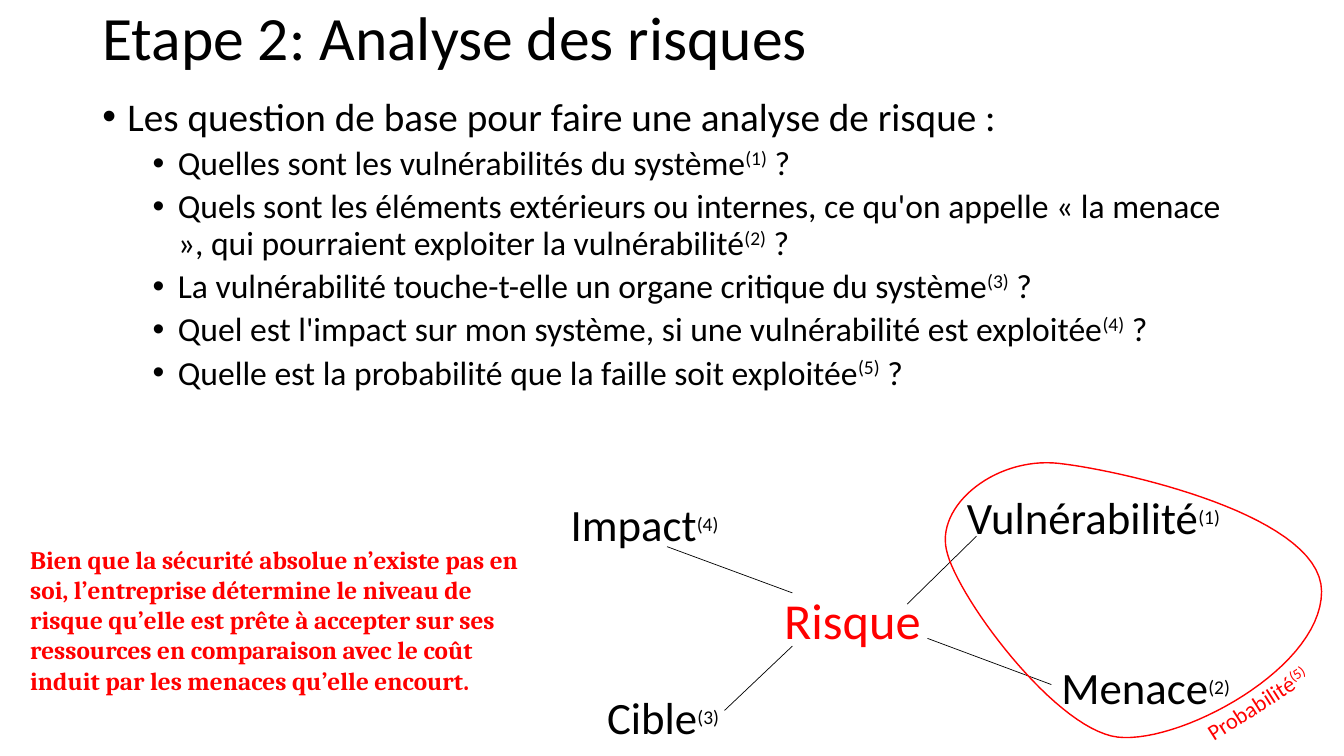
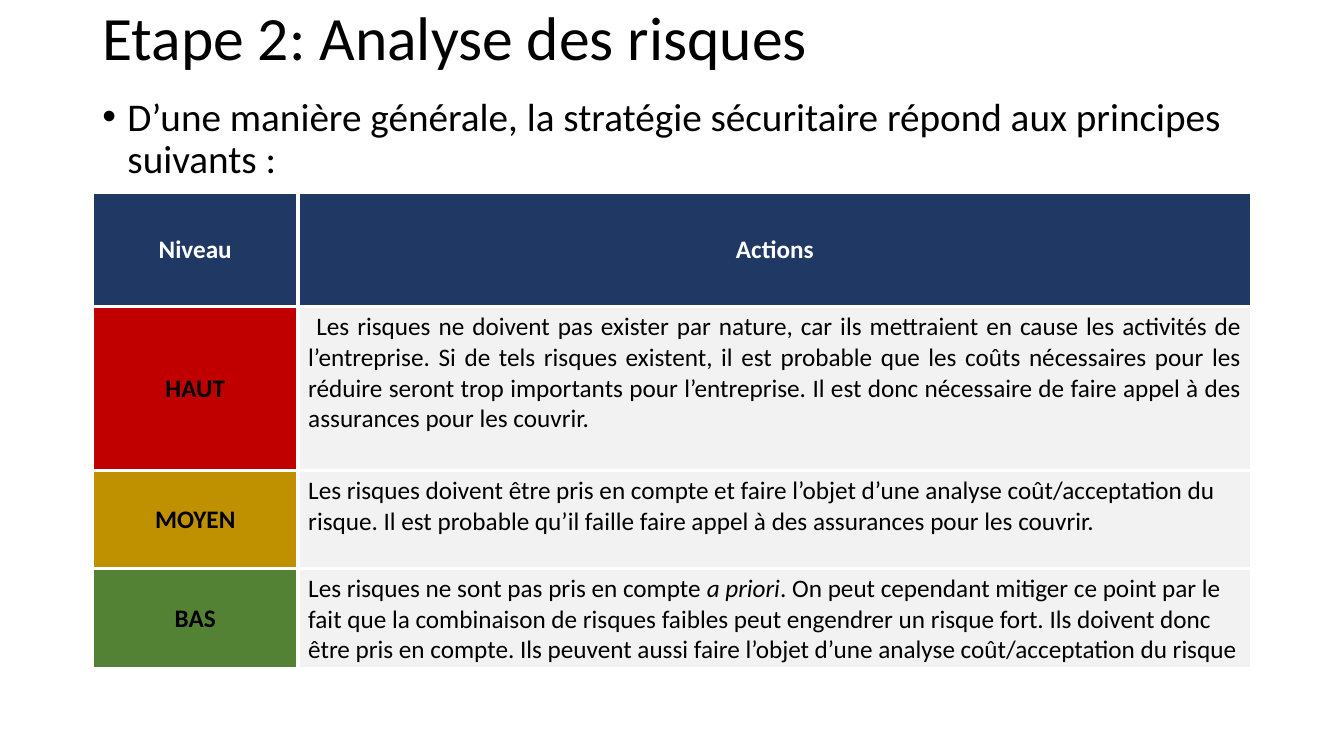
from dataclasses import dataclass

from lxml import etree
from pptx import Presentation
from pptx.dml.color import RGBColor as RGB
from pptx.enum.shapes import MSO_CONNECTOR as CONN
from pptx.enum.text import MSO_ANCHOR as ANCHOR, PP_ALIGN as ALIGN
from pptx.oxml import parse_xml
from pptx.oxml.ns import nsdecls, qn
from pptx.util import Pt


@dataclass(frozen=True)
class Theme:
    font: str = "Calibri"
    quote_font: str = "Cambria"
    black: str = "000000"
    white: str = "FFFFFF"
    red: str = "FF0000"
    header: str = "203864"
    cell: str = "F2F2F2"
    high: str = "C00000"
    medium: str = "BF9000"
    low: str = "548235"
    title: int = 44
    lead: int = 28
    item: int = 24
    core: int = 36
    node: int = 32
    small: int = 18
    tag: int = 16


T = Theme()

# Content
TITLE = "Etape 2: Analyse des risques"
LEFT, WIDTH = 66, 828
QUESTIONS_LEAD = "Les question de base pour faire une analyse de risque :"
QUESTIONS = [
    ("Quelles sont les vulnérabilités du système", "(1)"),
    ("Quels sont les éléments extérieurs ou internes, ce qu'on appelle « la menace », "
     "qui pourraient exploiter la vulnérabilité", "(2)"),
    ("La vulnérabilité touche-t-elle un organe critique du système", "(3)"),
    ("Quel est l'impact sur mon système, si une vulnérabilité est exploitée", "(4)"),
    ("Quelle est la probabilité que la faille soit exploitée", "(5)"),
]
QUOTE = ("Bien que la sécurité absolue n’existe pas en soi, l’entreprise détermine le niveau "
         "de risque qu’elle est prête à accepter sur ses ressources en comparaison avec le "
         "coût induit par les menaces qu’elle encourt.")

# Risk map: label, mark, left, top, width
NODES = [
    ("Menace", "(2)", 751, 468, 138),
    ("Vulnérabilité", "(1)", 683.5, 346.5, 202),
    ("Impact", "(4)", 400.5, 351.5, 124),
    ("Cible", "(3)", 426.5, 489, 98),
]
LINKS = [
    ((566, 423.5), (476.5, 390.5)),
    ((566, 461.5), (517.5, 507.5)),
    ((751, 489), (662.5, 456)),
    ((697.5, 383), (648, 431.5)),
]
LOOP_START = (676, 392.5)
LOOP = [  # cubic curves: two control points, then the end
    ((669, 360), (712, 326), (756.5, 331)),
    ((801, 336), (944, 368), (944, 422.5)),
    ((944, 477.5), (843, 531.5), (798.5, 526.5)),
    ((754, 521.5), (682.5, 425), LOOP_START),
]

PRINCIPLES_LEAD = ("D’une manière générale, la stratégie sécuritaire répond "
                   "aux principes suivants :")
HEADERS = ("Niveau", "Actions")
LEVELS = [  # level, colour, alignment, action
    ("HAUT", T.high, ALIGN.JUSTIFY, [
        " Les risques ne doivent pas exister par nature, car ils mettraient en cause les "
        "activités de l’entreprise. Si de tels risques existent, il est probable que les coûts "
        "nécessaires pour les réduire seront trop importants pour l’entreprise. Il est donc "
        "nécessaire de faire appel à des assurances pour les couvrir."]),
    ("MOYEN", T.medium, ALIGN.LEFT, [
        "Les risques doivent être pris en compte et faire l’objet d’une analyse "
        "coût/acceptation du risque. Il est probable qu’il faille faire appel à des "
        "assurances pour les couvrir."]),
    ("BAS", T.low, ALIGN.LEFT, [
        "Les risques ne sont pas pris en compte ",
        ("a priori", dict(italic=True)),
        ". On peut cependant mitiger ce point par le fait que la combinaison de risques "
        "faibles peut engendrer un risque fort. Ils doivent donc être pris en compte. Ils "
        "peuvent aussi faire l’objet d’une analyse coût/acceptation du risque"]),
]
COLS = (147, 681)
ROWS = (81.5, 117, 70, 71)


# Text
def write(p, runs, size=T.small, color=T.black, font=T.font, bold=False, align=None):
    """Fill a paragraph with runs: plain text, or (text, extra format)."""
    p.alignment = align
    for run in [runs] if isinstance(runs, str) else runs:
        text, extra = (run, {}) if isinstance(run, str) else run
        r = p.add_run()
        r.text = text
        f = r.font
        f.name, f.bold, f.italic = font, bold, extra.get("italic", False)
        f.size = Pt(extra.get("size", size))
        f.color.rgb = RGB.from_string(color)
        if extra.get("sup"):
            f._element.set("baseline", "30000")


def add_box(s, x, y, w, h, wrap=True, anchor=ANCHOR.TOP):
    sp = s.shapes.add_textbox(Pt(x), Pt(y), Pt(w), Pt(h))
    tf = sp.text_frame
    tf.word_wrap, tf.vertical_anchor = wrap, anchor
    return sp, tf.paragraphs[0]


def add_label(s, text, mark, mark_size, x, y, w, h, **fmt):
    sp, p = add_box(s, x, y, w, h, wrap=False)
    write(p, [text, (mark, dict(sup=True, size=mark_size))], **fmt)
    return sp


def make_bullet(p, margin, before):
    p.line_spacing, p.space_before = 0.9, Pt(before)
    pPr = p._p.get_or_add_pPr()
    pPr.set("marL", str(Pt(margin)))
    pPr.set("indent", str(-Pt(18)))
    etree.SubElement(pPr, qn("a:buFont")).set("typeface", "Arial")
    etree.SubElement(pPr, qn("a:buChar")).set("char", "•")


def start_slide(prs, lead, items=()):
    """Blank slide with the shared title and bulleted body."""
    s = prs.slides.add_slide(prs.slide_layouts[6])
    _, p = add_box(s, LEFT, 0, WIDTH, 57.5, anchor=ANCHOR.MIDDLE)
    p.line_spacing = 0.9
    write(p, TITLE, size=T.title)
    sp, p = add_box(s, LEFT, 66, WIDTH, 240 if items else 70)
    make_bullet(p, 18, 10)
    write(p, lead, size=T.lead)
    for text, mark in items:
        p = sp.text_frame.add_paragraph()
        make_bullet(p, 54, 5)
        write(p, [text, (mark, dict(sup=True)), " ?"], size=T.item)
    return s


# Drawing
def add_link(s, start, end):
    c = s.shapes.add_connector(CONN.STRAIGHT, *map(Pt, start + end))
    c.line.color.rgb, c.line.width = RGB.from_string(T.black), Pt(0.5)
    etree.SubElement(c._element.spPr, qn("a:effectLst"))


def curve_points(start, curves, steps=30):
    points = []
    for a, b, end in curves:
        for i in range(1, steps + 1):
            t = i / steps
            u = 1 - t
            points.append(tuple(
                Pt(u**3 * p0 + 3 * u * u * t * p1 + 3 * u * t * t * p2 + t**3 * p3)
                for p0, p1, p2, p3 in zip(start, a, b, end)))
        start = end
    return points


def add_loop(s):
    fb = s.shapes.build_freeform(*map(Pt, LOOP_START))
    fb.add_line_segments(curve_points(LOOP_START, LOOP), close=True)
    sp = fb.convert_to_shape()
    sp.shadow.inherit = False
    sp.fill.background()
    sp.line.color.rgb, sp.line.width = RGB.from_string(T.red), Pt(1)


def fill_cell(cell, runs, fill, anchor=ANCHOR.MIDDLE, **fmt):
    tcPr = cell._tc.get_or_add_tcPr()
    for side in ("lnL", "lnR", "lnT", "lnB"):
        tcPr.append(parse_xml(
            f'<a:{side} {nsdecls("a")} w="{Pt(3)}"><a:solidFill>'
            f'<a:srgbClr val="{T.white}"/></a:solidFill></a:{side}>'))
    cell.fill.solid()
    cell.fill.fore_color.rgb = RGB.from_string(fill)
    cell.vertical_anchor = anchor
    write(cell.text_frame.paragraphs[0], runs, **fmt)


# Slides
def build_questions(prs):
    s = start_slide(prs, QUESTIONS_LEAD, QUESTIONS)
    _, p = add_box(s, 14.5, 385, 378, 138)
    write(p, QUOTE, color=T.red, font=T.quote_font, bold=True)
    _, p = add_box(s, 553, 417.5, 116, 51, wrap=False)
    write(p, "Risque", size=T.core, color=T.red)
    for text, mark, x, y, w in NODES:
        add_label(s, text, mark, T.item, x, y, w, 46, size=T.node)
    for start, end in LINKS:
        add_link(s, start, end)
    add_loop(s)
    sp = add_label(s, "Probabilité", "(5)", T.small, 849.5, 486.5, 99.5, 29,
                   size=T.tag, color=T.red)
    sp.rotation = 327.5


def build_principles(prs):
    s = start_slide(prs, PRINCIPLES_LEAD)
    tbl = s.shapes.add_table(len(ROWS), len(COLS), Pt(LEFT), Pt(137.5),
                             Pt(sum(COLS)), Pt(sum(ROWS))).table
    tbl.first_row = tbl.horz_banding = False
    for col, w in zip(tbl.columns, COLS):
        col.width = Pt(w)
    for row, h in zip(tbl.rows, ROWS):
        row.height = Pt(h)
    for i, text in enumerate(HEADERS):
        fill_cell(tbl.cell(0, i), text, T.header, color=T.white, bold=True, align=ALIGN.CENTER)
    for i, (level, color, align, action) in enumerate(LEVELS, 1):
        fill_cell(tbl.cell(i, 0), level, color, bold=True, align=ALIGN.CENTER)
        fill_cell(tbl.cell(i, 1), action, T.cell, anchor=ANCHOR.TOP, align=align)


def main():
    prs = Presentation()
    prs.slide_width, prs.slide_height = Pt(960), Pt(540)
    build_questions(prs)
    build_principles(prs)
    prs.save("out.pptx")


if __name__ == "__main__":
    main()
